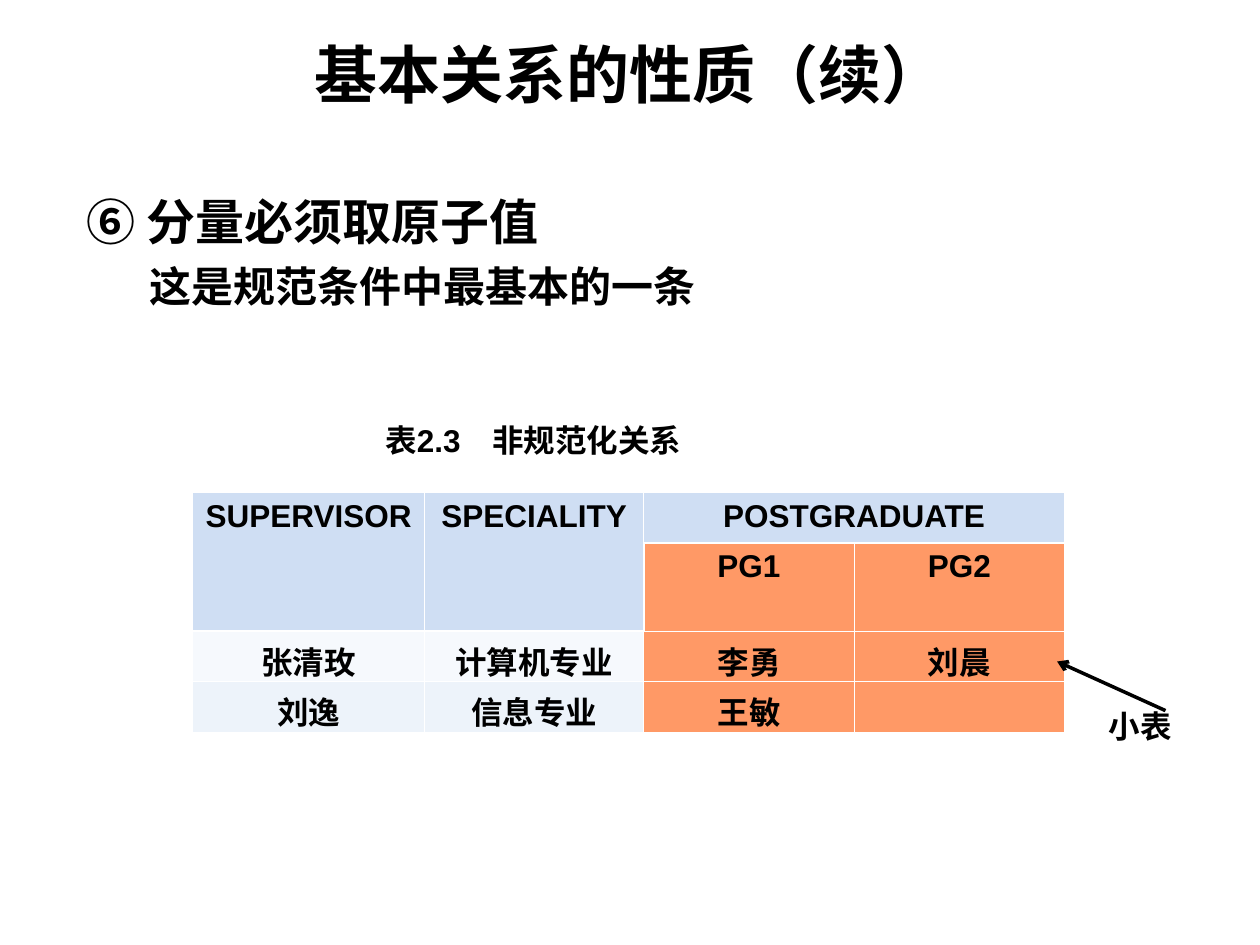
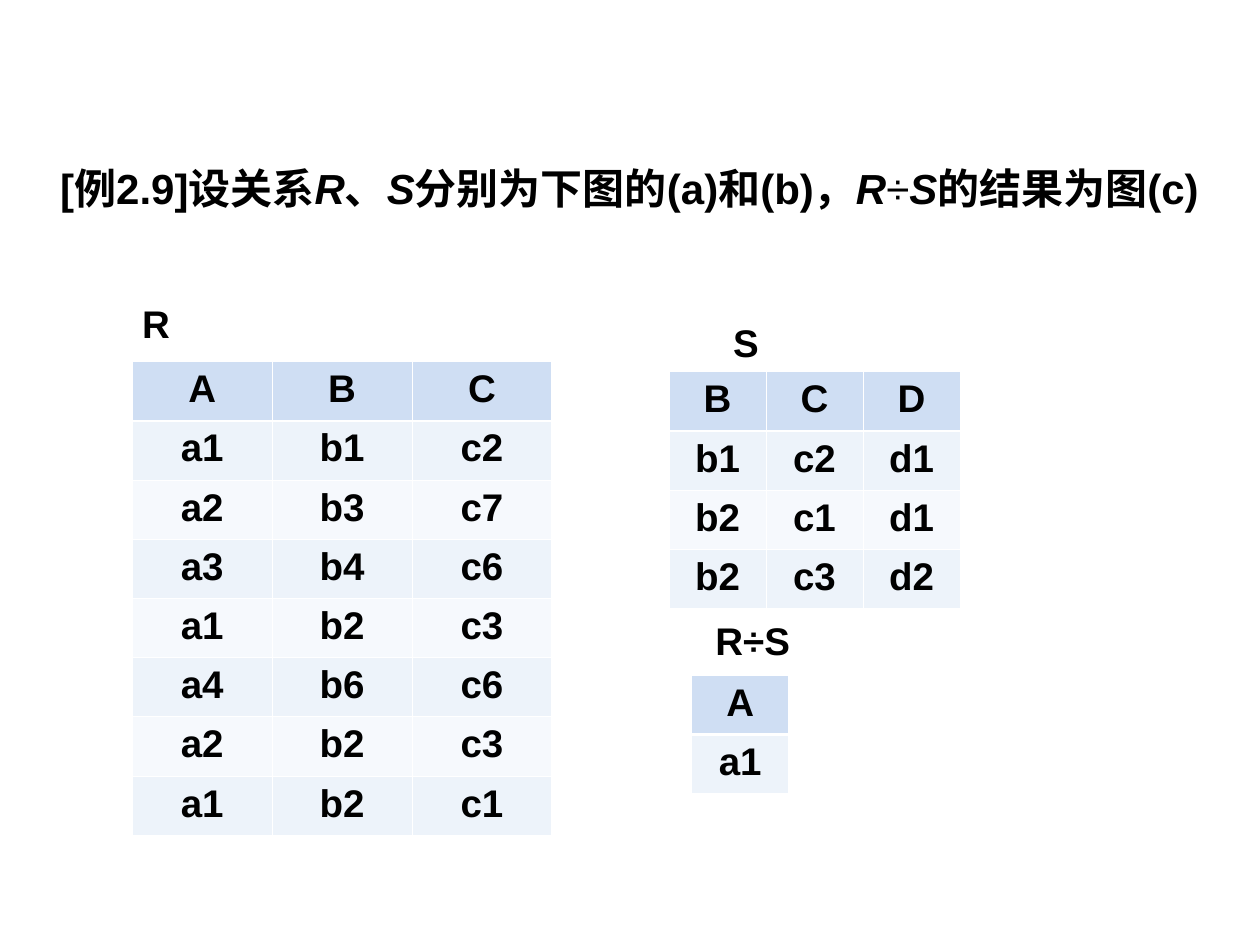
from dataclasses import dataclass

from lxml.etree import SubElement
from pptx import Presentation
from pptx.dml.color import RGBColor
from pptx.enum.shapes import MSO_CONNECTOR
from pptx.enum.text import MSO_ANCHOR, PP_ALIGN
from pptx.oxml.ns import qn
from pptx.util import Inches, Pt


@dataclass(frozen=True)
class Theme:
    font: str = "Arial"
    ink: str = "000000"
    header: str = "CFDEF3"
    bands: tuple = ("F6F9FD", "EDF3FA")
    nested: str = "FF9966"
    border: str = "FFFFFF"
    thin: float = 0.45
    thick: float = 1.47
    title: int = 36
    heading: int = 28
    body: int = 24
    relation: int = 22
    small: int = 18


class Deck:
    def __init__(self, theme):
        self.theme = theme
        self.presentation = Presentation()
        self.presentation.slide_width = Inches(10)
        self.presentation.slide_height = Inches(7.5)
        self.slide = None

    def new_slide(self):
        self.slide = self.presentation.slides.add_slide(self.presentation.slide_layouts[6])

    def format_run(self, run, size):
        run.font.name = self.theme.font
        run.font.size = Pt(size)
        run.font.bold = True
        run.font.color.rgb = RGBColor.from_string(self.theme.ink)

    def text(self, content, left, top, width, height, size, wrap=True):
        """Add a text box and return its frame."""
        box = self.slide.shapes.add_textbox(Inches(left), Inches(top), Inches(width), Inches(height))
        frame = box.text_frame
        frame.word_wrap = wrap
        frame.text = content
        for paragraph in frame.paragraphs:
            for run in paragraph.runs:
                self.format_run(run, size)
        return frame

    def title(self, content):
        frame = self.text(content, 0.5, 0, 9, 1.16, self.theme.title)
        frame.vertical_anchor = MSO_ANCHOR.MIDDLE
        frame.paragraphs[0].alignment = PP_ALIGN.CENTER

    def indent(self, paragraph, margin, first_line):
        properties = paragraph._p.get_or_add_pPr()
        properties.set("marL", str(Inches(margin)))
        properties.set("indent", str(Inches(first_line)))

    def tab_stop(self, paragraph, position):
        stops = SubElement(paragraph._p.get_or_add_pPr(), qn("a:tabLst"))
        SubElement(stops, qn("a:tab"), pos=str(Inches(position)), algn="l")

    def arrow(self, start, end):
        points = [Inches(value) for value in (*start, *end)]
        line = self.slide.shapes.add_connector(MSO_CONNECTOR.STRAIGHT, *points)
        line.line.width = Pt(2)
        line.line.color.rgb = RGBColor.from_string(self.theme.ink)
        SubElement(line.line._get_or_add_ln(), qn("a:tailEnd"), type="arrow")
        SubElement(line._element.spPr, qn("a:effectLst"))

    def cell_borders(self, cell, fills, row, column):
        """Draw thick edges where header meets body, thin edges elsewhere."""
        neighbours = {"lnL": (row, column - 1), "lnR": (row, column + 1),
                      "lnT": (row - 1, column), "lnB": (row + 1, column)}
        header = self.theme.header
        for tag, place in neighbours.items():
            beside = fills.get(place)
            meets = beside and (beside == header) != (fills[row, column] == header)
            width = Pt(self.theme.thick if meets else self.theme.thin)
            edge = SubElement(cell._tc.get_or_add_tcPr(), qn(f"a:{tag}"), w=str(width))
            SubElement(SubElement(edge, qn("a:solidFill")), qn("a:srgbClr"), val=self.theme.border)

    def table(self, rows, left, top, widths, heights, size, special_fills=None, merges=()):
        """Add a banded table; special_fills maps (row, column) to a colour."""
        theme = self.theme
        table = self.slide.shapes.add_table(
            len(rows), len(widths), Inches(left), Inches(top),
            Inches(sum(widths)), Inches(sum(heights))).table
        table.first_row = table.horz_banding = False
        for column, width in zip(table.columns, widths):
            column.width = Inches(width)
        for row, height in zip(table.rows, heights):
            row.height = Inches(height)

        places = [(r, c) for r in range(len(rows)) for c in range(len(widths))]
        fills = {(r, c): theme.bands[r % 2] if r else theme.header for r, c in places}
        fills.update(special_fills or {})
        for r, c in places:
            cell = table.cell(r, c)
            self.cell_borders(cell, fills, r, c)
            cell.fill.solid()
            cell.fill.fore_color.rgb = RGBColor.from_string(fills[r, c])
            cell.text_frame.text = rows[r][c]
            paragraph = cell.text_frame.paragraphs[0]
            paragraph.alignment = PP_ALIGN.CENTER
            for run in paragraph.runs:
                self.format_run(run, size)
        for first, last in merges:
            table.cell(*first).merge(table.cell(*last))

    def relation(self, rows, left, top, column_width):
        self.table(rows, left, top, [column_width] * len(rows[0]),
                   [0.47] * len(rows), self.theme.relation)


def atomic_values_slide(deck):
    theme = deck.theme
    deck.new_slide()
    deck.title("基本关系的性质（续）")

    property_text = deck.text("⑥ 分量必须取原子值\n这是规范条件中最基本的一条",
                              0.59, 1.47, 9, 1.2, theme.heading)
    rule, remark = property_text.paragraphs
    deck.indent(rule, 0.38, -0.38)
    deck.indent(remark, 0.81, -0.31)
    remark.space_before = Pt(6)
    remark.runs[0].font.size = Pt(theme.body)

    caption = deck.text("表2.3\t非规范化关系", 2.96, 3.29, 3.2, 0.4, theme.small)
    deck.tab_stop(caption.paragraphs[0], 0.85)

    supervision = [
        ("SUPERVISOR", "SPECIALITY", "POSTGRADUATE", ""),
        ("", "", "PG1", "PG2"),
        ("张清玫", "计算机专业", "李勇", "刘晨"),
        ("刘逸", "信息专业", "王敏", ""),
    ]
    fills = {(1, column): theme.header for column in (0, 1)}
    fills.update({(row, column): theme.nested for row in (1, 2, 3) for column in (2, 3)})
    deck.table(supervision, 1.53, 3.91, [1.84, 1.74, 1.67, 1.67], [0.4, 0.7, 0.4, 0.4],
               theme.small, fills,
               merges=[((0, 0), (1, 0)), ((0, 1), (1, 1)), ((0, 2), (0, 3))])
    deck.arrow((9.25, 5.64), (8.39, 5.25))
    deck.text("小表", 8.7, 5.56, 1.02, 0.4, theme.small)


def division_slide(deck):
    theme = deck.theme
    deck.new_slide()
    example = deck.text("", 0.38, 1.24, 9.26, 0.9, theme.body).paragraphs[0]
    deck.indent(example, 0.38, -0.38)
    for part in ("[例2.9]设关系", "R", "、", "S", "分别为下图的(a)和(b)，",
                 "R", "÷", "S", "的结果为图(c)"):
        run = example.add_run()
        run.text = part
        deck.format_run(run, theme.body)
        run.font.italic = part in ("R", "S")
        run.font.bold = part != "÷"

    dividend = ["ABC", "a1 b1 c2", "a2 b3 c7", "a3 b4 c6", "a1 b2 c3",
                "a4 b6 c6", "a2 b2 c3", "a1 b2 c1"]
    divisor = ["BCD", "b1 c2 d1", "b2 c1 d1", "b2 c3 d2"]
    quotient = ["A", "a1"]
    for (header, *body), left, top, column_width in (
            (dividend, 1.05, 2.87, 1.11), (divisor, 5.31, 2.95, 0.77), (quotient, 5.49, 5.36, 0.77)):
        deck.relation([list(header)] + [row.split() for row in body], left, top, column_width)

    for name, left, top, width in (("R", 1.03, 2.33, 0.42), ("S", 5.72, 2.48, 0.4),
                                   ("R÷S", 5.58, 4.85, 0.79)):
        deck.text(name, left, top, width, 0.47, theme.relation, wrap=False)


def main():
    deck = Deck(Theme())
    atomic_values_slide(deck)
    division_slide(deck)
    deck.presentation.save("out.pptx")


if __name__ == "__main__":
    main()
